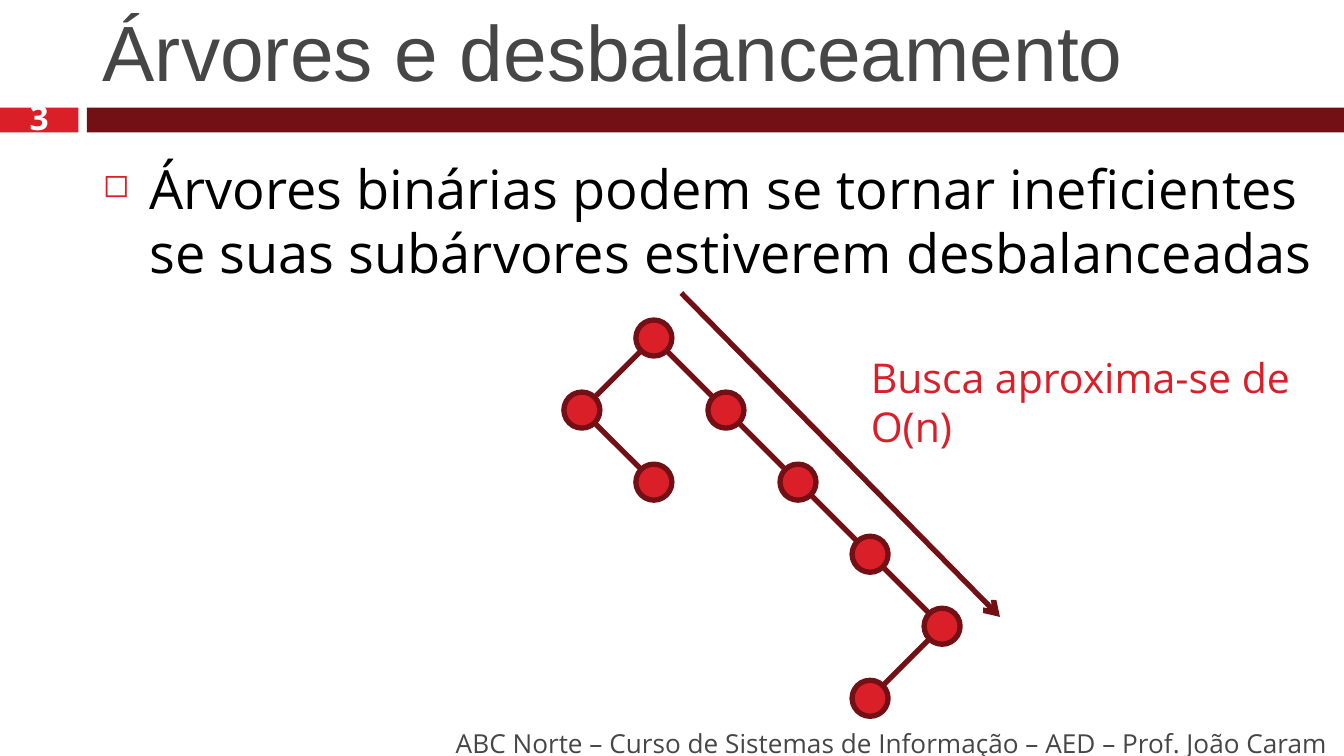
from lxml import etree
from pptx import Presentation
from pptx.dml.color import RGBColor
from pptx.enum.shapes import MSO_CONNECTOR, MSO_SHAPE
from pptx.enum.text import MSO_ANCHOR, PP_ALIGN
from pptx.oxml.ns import qn
from pptx.util import Pt

COLORS = {"red": "DA1F28", "wine": "721015", "gray": "464646",
          "black": "000000", "white": "FFFFFF"}
COLORS = {name: RGBColor.from_string(value) for name, value in COLORS.items()}

prs = Presentation()
prs.slide_width, prs.slide_height = Pt(720), Pt(405)
slide = prs.slides.add_slide(prs.slide_layouts[6])


def add_text(text, box, size, color, font="Open Sans", bold=False, frame_format={}, para_format={}):
    frame = slide.shapes.add_textbox(*map(Pt, box)).text_frame
    paragraph = frame.paragraphs[0]
    run = paragraph.add_run()
    run.text = text
    run.font.color.rgb = COLORS[color]
    formats = (
        (frame, {"word_wrap": True, **frame_format}),
        (paragraph, para_format),
        (run.font, {"size": Pt(size), "name": font, "bold": bold}),
    )
    for target, values in formats:
        for key, value in values.items():
            setattr(target, key, value)
    return paragraph


def add_line(start, end):
    line = slide.shapes.add_connector(MSO_CONNECTOR.STRAIGHT, *map(Pt, (*start, *end)))
    line.line.color.rgb = COLORS["wine"]
    line.line.width = Pt(2.83)
    etree.SubElement(line._element.spPr, qn("a:effectLst"))
    return line


# Header bars
for left, width, color in ((0, 42, "red"), (46.6, 673.4, "wine")):
    bar = slide.shapes.add_shape(MSO_SHAPE.RECTANGLE, Pt(left), Pt(57.6), Pt(width), Pt(13.4))
    bar.shadow.inherit = False
    bar.fill.solid()
    bar.fill.fore_color.rgb = COLORS[color]
    bar.line.fill.background()

# Title, statement and footer
add_text("Árvores e desbalanceamento", (48, 9.4, 664, 46), 42, "gray", font="Arial",
         frame_format={"vertical_anchor": MSO_ANCHOR.BOTTOM})
statement = add_text(
    "Árvores binárias podem se tornar ineficientes se suas subárvores estiverem desbalanceadas",
    (48, 77.8, 664, 306), 29, "black",
    frame_format={"margin_top": Pt(6)}, para_format={"line_spacing": Pt(34.3)})
props = statement._p.get_or_add_pPr()
props.set("marL", str(Pt(25)))
props.set("indent", str(Pt(-25)))
bullet_color = etree.SubElement(props, qn("a:buClr"))
etree.SubElement(bullet_color, qn("a:srgbClr"), val=str(COLORS["red"]))
etree.SubElement(props, qn("a:buSzPct"), val="60000")
etree.SubElement(props, qn("a:buChar"), char="◻")
add_text("ABC Norte – Curso de Sistemas de Informação – AED – Prof. João Caram",
         (76.3, 387.4, 642.2, 21.6), 14, "gray",
         frame_format={"vertical_anchor": MSO_ANCHOR.MIDDLE},
         para_format={"alignment": PP_ALIGN.RIGHT})

# Tree: nodes on a square grid of (column, row), edges joining them diagonally
STEP, DIAMETER = 38.6, 19.3
ROOT_X, ROOT_Y = 350.3, 181.1
RIM = DIAMETER / 2 * 0.71
nodes = [(0, 0), (-1, 1), (1, 1), (2, 2), (3, 3), (4, 4), (0, 2), (3, 5)]
edges = [(0, 1), (0, 2), (1, 6), (2, 3), (3, 4), (4, 5), (5, 7)]
centers = [(ROOT_X + col * STEP, ROOT_Y + row * STEP) for col, row in nodes]

for x, y in centers:
    node = slide.shapes.add_shape(MSO_SHAPE.OVAL, Pt(x - DIAMETER / 2), Pt(y - DIAMETER / 2),
                                  Pt(DIAMETER), Pt(DIAMETER))
    node.shadow.inherit = False
    node.fill.solid()
    node.fill.fore_color.rgb = COLORS["red"]
    node.line.color.rgb = COLORS["wine"]
    node.line.width = Pt(2.83)

for parent, child in edges:
    (x1, y1), (x2, y2) = centers[parent], centers[child]
    side = RIM if x2 > x1 else -RIM
    add_line((x1 + side, y1 + RIM), (x2 - side, y2 - RIM))

# Search direction and its cost
search = add_line((365, 157), (535.7, 330.5))
etree.SubElement(search.line._get_or_add_ln(), qn("a:tailEnd"), type="arrow")
add_text("Busca aproxima-se de O(n)", (461.5, 185, 250.6, 56), 22, "red",
         frame_format={"margin_left": Pt(5), "margin_right": Pt(5),
                       "margin_top": Pt(4.2), "margin_bottom": Pt(2)},
         para_format={"line_spacing": Pt(26.2)})

# Slide number
add_text("3", (0, 55.4, 42, 14.4), 18, "white", bold=True,
         frame_format={"vertical_anchor": MSO_ANCHOR.MIDDLE},
         para_format={"alignment": PP_ALIGN.CENTER})

prs.save("out.pptx")
